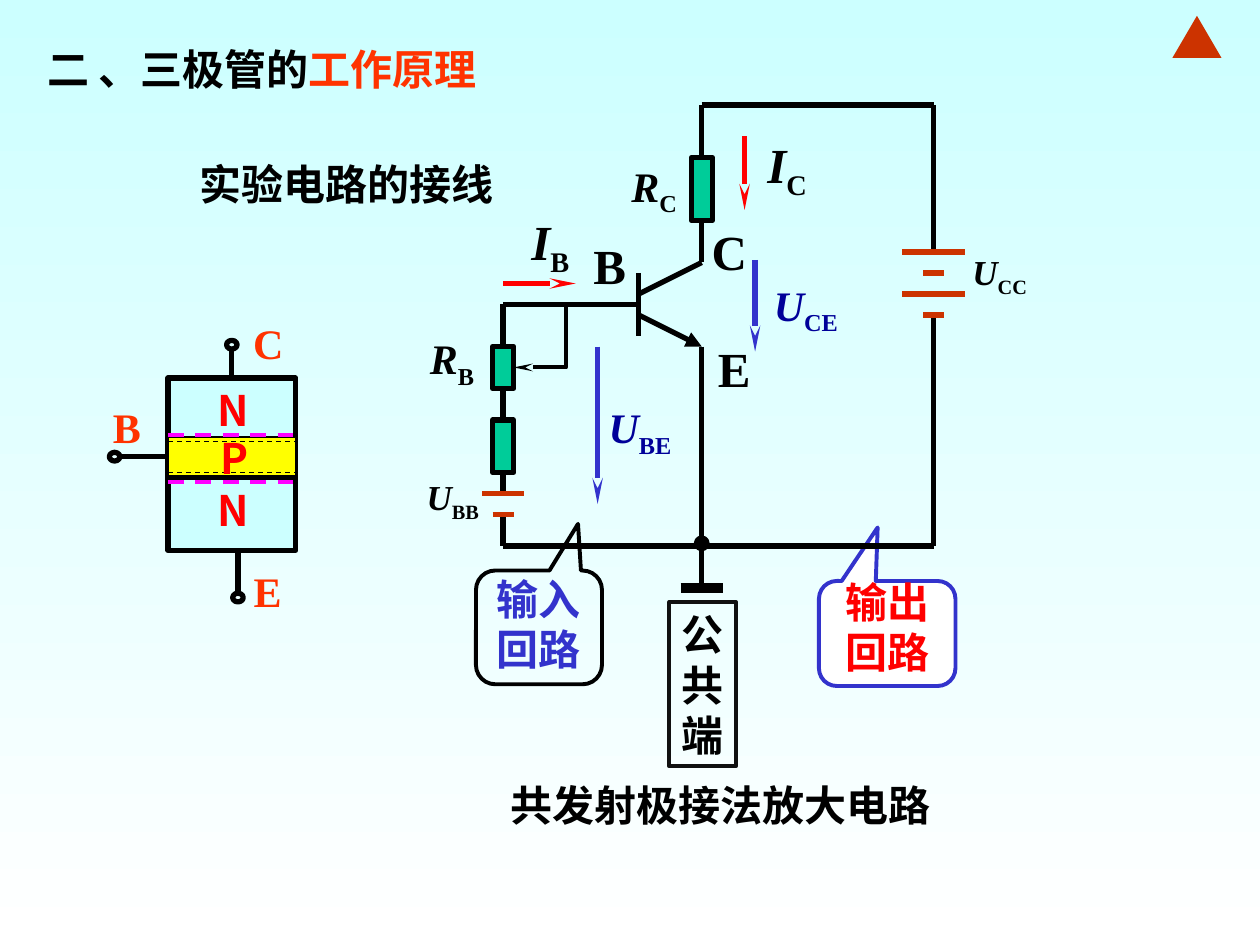
from dataclasses import dataclass
from typing import Optional

from lxml import etree
from pptx import Presentation
from pptx.dml.color import RGBColor
from pptx.enum.dml import MSO_LINE
from pptx.enum.shapes import MSO_CONNECTOR, MSO_SHAPE as Preset
from pptx.enum.text import MSO_ANCHOR, MSO_AUTO_SIZE, PP_ALIGN as Align
from pptx.oxml.ns import qn
from pptx.util import Pt

BLACK = RGBColor(0x00, 0x00, 0x00)
WHITE = RGBColor(0xFF, 0xFF, 0xFF)
FRAME = RGBColor(0x11, 0x11, 0x11)
PALE_CYAN = RGBColor(0xCC, 0xFF, 0xFF)
GREEN = RGBColor(0x00, 0xCC, 0x99)
YELLOW = RGBColor(0xFF, 0xFF, 0x00)
RED = RGBColor(0xFF, 0x00, 0x00)
ORANGE = RGBColor(0xFF, 0x33, 0x00)
BRICK = RGBColor(0xCC, 0x33, 0x00)
MAGENTA = RGBColor(0xFF, 0x00, 0xFF)
BLUE = RGBColor(0x33, 0x33, 0xCC)
NAVY = RGBColor(0x00, 0x00, 0x99)
SERIF, SANS = "Times New Roman", "Noto Sans CJK SC"


@dataclass
class Run:
    text: str
    color: RGBColor = BLACK
    size: float = 24
    italic: bool = False
    subscript: bool = False
    font: str = SERIF


@dataclass
class Label:
    left: float
    top: float
    width: float
    height: float
    lines: list[list[Run]]
    align: Align = Align.CENTER
    wrap: bool = False


@dataclass
class Block:
    left: float
    top: float
    width: float
    height: float
    fill: Optional[RGBColor] = None
    line: Optional[RGBColor] = BLACK
    weight: float = 3
    preset: Preset = Preset.RECTANGLE
    adjustments: tuple[float, ...] = ()


@dataclass
class Wire:
    x1: float
    y1: float
    x2: float
    y2: float
    color: RGBColor = BLACK
    weight: float = 3
    arrow: Optional[str] = None
    dashed: bool = False


def symbol(name: str, index: str, size: float, color: RGBColor = BLACK) -> list[list[Run]]:
    """One line: an italic letter with an upright subscript."""
    return [[Run(name, color, size, italic=True), Run(index, color, size, subscript=True)]]


def words(*lines: str, color: RGBColor = BLACK, size: float = 24, font: str = SERIF) -> list[list[Run]]:
    return [[Run(line, color, size, font=font)] for line in lines]


def write(shape, lines: list[list[Run]], align: Align, wrap: bool) -> None:
    frame = shape.text_frame
    frame.word_wrap = wrap
    frame.auto_size = MSO_AUTO_SIZE.SHAPE_TO_FIT_TEXT
    frame.vertical_anchor = MSO_ANCHOR.MIDDLE
    if align == Align.CENTER:
        frame.margin_left = frame.margin_right = Pt(3)
    for number, line in enumerate(lines):
        paragraph = frame.add_paragraph() if number else frame.paragraphs[0]
        paragraph.alignment = align
        for part in line:
            run = paragraph.add_run()
            run.text = part.text
            font = run.font
            font.name, font.size, font.bold, font.italic = part.font, Pt(part.size), True, part.italic
            font.color.rgb = part.color
            properties = run._r.get_or_add_rPr()
            etree.SubElement(properties, qn("a:ea")).set("typeface", SANS)
            if part.subscript:
                properties.set("baseline", "-25000")


def add_label(slide, label: Label) -> None:
    box = slide.shapes.add_textbox(Pt(label.left), Pt(label.top), Pt(label.width), Pt(label.height))
    write(box, label.lines, label.align, label.wrap)


def style(shape, fill: Optional[RGBColor], line: Optional[RGBColor], weight: float) -> None:
    shape.shadow.inherit = False
    if fill is None:
        shape.fill.background()
    else:
        shape.fill.solid()
        shape.fill.fore_color.rgb = fill
    if line is None:
        shape.line.fill.background()
    else:
        shape.line.color.rgb = line
        shape.line.width = Pt(weight)


def add_block(slide, block: Block, joints: dict):
    """Draw a shape; a rectangle also records the middles of its sides in joints."""
    x, y, w, h = block.left, block.top, block.width, block.height
    shape = slide.shapes.add_shape(block.preset, Pt(x), Pt(y), Pt(w), Pt(h))
    for number, value in enumerate(block.adjustments):
        shape.adjustments[number] = value
    style(shape, block.fill, block.line, block.weight)
    if block.preset == Preset.RECTANGLE:
        middles = (x + w / 2, y), (x, y + h / 2), (x + w / 2, y + h), (x + w, y + h / 2)
        joints.update({point: (shape, site) for site, point in enumerate(middles)})
    return shape


def add_arrowhead(shape, kind: str) -> None:
    """End the line in an arrowhead; the stealth ones are long and narrow."""
    outline = shape._element.spPr.find(qn("a:ln"))
    head = etree.SubElement(outline, qn("a:tailEnd"), type=kind)
    if kind == "stealth":
        head.set("w", "sm")
        head.set("len", "lg")


def add_wire(slide, wire: Wire, joints: dict) -> None:
    begin, end = (wire.x1, wire.y1), (wire.x2, wire.y2)
    connector = slide.shapes.add_connector(MSO_CONNECTOR.STRAIGHT, *map(Pt, begin + end))
    connector.line.color.rgb = wire.color
    connector.line.width = Pt(wire.weight)
    if wire.dashed:
        connector.line.dash_style = MSO_LINE.DASH
    if wire.arrow:
        add_arrowhead(connector, wire.arrow)
    etree.SubElement(connector._element.spPr, qn("a:effectLst"))
    if begin in joints:
        connector.begin_connect(*joints[begin])
    if end in joints:
        connector.end_connect(*joints[end])


def add_wiper(slide) -> None:
    """The sliding contact of the base resistor."""
    builder = slide.shapes.build_freeform(Pt(323.5), Pt(174), scale=1.0)
    builder.add_line_segments([(Pt(323.5), Pt(210)), (Pt(293.5), Pt(210))], close=False)
    wiper = builder.convert_to_shape()
    style(wiper, None, BLACK, 2.25)
    add_arrowhead(wiper, "stealth")


# Columns and rails of the circuit
INPUT, BASE, MAIN, SUPPLY = 287.5, 365, 401, 533.5
TOP, GROUND = 60, 312
# Left and right sides of the layered transistor
LEFT, RIGHT = 96, 169

CALLOUT = Preset.ROUNDED_RECTANGULAR_CALLOUT
BACK_BLOCKS = [
    Block(670, 9, 28, 24, BRICK, None, preset=Preset.ISOSCELES_TRIANGLE),
    Block(468, 332, 78, 60, WHITE, BLUE, 2.25, CALLOUT, (-0.07, -1.01, 0.17)),
    Block(272, 326, 72, 65, None, BLACK, 2.25, CALLOUT, (0.31, -0.91, 0.17)),
    Block(LEFT, 216, RIGHT - LEFT, 98.5, PALE_CYAN),
]
BOUNDARIES = [Wire(LEFT, y, RIGHT, y, color, 2.25, dashed=color == MAGENTA)
              for y, color in ((250.5, BLACK), (273, BLACK), (248.5, MAGENTA), (275.5, MAGENTA))]
FRONT_BLOCKS = [
    Block(LEFT, 250, RIGHT - LEFT, 22, YELLOW, weight=0.75),
    Block(MAIN - 6, 90, 12, 36, GREEN),
    Block(INPUT - 6, 198, 12, 24, GREEN),
    Block(INPUT - 6, 240, 12, 30, GREEN),
    Block(MAIN - 3, 307.5, 6, 6, BLACK, preset=Preset.OVAL),
] + [Block(x, y, 6, 5, preset=Preset.OVAL) for x, y in ((62.5, 258.5), (129.5, 194.5), (133, 339))]

WIRES = [
    # Transistor and output loop
    Wire(BASE, 156, BASE, 192),
    Wire(BASE, 168, MAIN, 150),
    Wire(BASE, 180, MAIN, 198, arrow="triangle"),
    Wire(MAIN, 126, MAIN, 150),
    Wire(MAIN, 90, MAIN, TOP),
    Wire(MAIN, 198, MAIN, GROUND),
    Wire(MAIN, TOP, SUPPLY, TOP),
    Wire(SUPPLY, TOP, SUPPLY, 144),
    Wire(SUPPLY, 180, SUPPLY, GROUND),
    # Input loop and ground
    Wire(BASE, 174, INPUT, 174),
    Wire(INPUT, 174, INPUT, 198),
    Wire(INPUT, 222, INPUT, 240),
    Wire(INPUT, 270, INPUT, 282),
    Wire(INPUT, 294, INPUT, GROUND),
    Wire(INPUT, GROUND, SUPPLY, GROUND),
    Wire(MAIN, GROUND, MAIN, 336),
    Wire(MAIN - 12, 336, MAIN + 12, 336, weight=6),
    # Currents and voltages
    Wire(425.5, 78, 425.5, 120, RED, arrow="stealth"),
    Wire(INPUT, 162, 329, 162, RED, arrow="stealth"),
    Wire(431.5, 148.5, 431.5, 201, BLUE, arrow="stealth"),
    Wire(341.5, 198, 341.5, 288, BLUE, arrow="stealth"),
    # Leads of the layered transistor
    Wire(132.5, 216, 132.5, 199.5),
    Wire(136, 314.5, 136, 339),
    Wire(LEFT, 261, 68.5, 261),
]
# Battery plates: column, height, half length
WIRES += [Wire(x - half, y, x + half, y, BRICK) for x, y, half in (
    (SUPPLY, 144, 18), (SUPPLY, 156, 6), (SUPPLY, 168, 18), (SUPPLY, 180, 6),
    (INPUT, 282, 12), (INPUT, 294, 6))]
WIRES += [Wire(LEFT, y, RIGHT, y, weight=0.75, dashed=True) for y in (252.5, 270)]

LABELS = [
    Label(20, 21.5, 345, 36, [[Run("二 、三极管的"), Run("工作原理", ORANGE)]], Align.LEFT, True),
    Label(80.5, 87, 235, 36, words("实验电路的接线"), wrap=True),
    Label(284.5, 442, 254, 36, words("共发射极接法放大电路")),
    Label(471.5, 325.5, 71.5, 65, words("输出", "回路", color=RED), wrap=True),
    Label(276.5, 324, 62, 65, words("输入", "回路", color=BLUE)),
    Label(548.5, 139.5, 45.5, 34.5, symbol("U", "CC", 20)),
    Label(353.5, 88, 40.5, 40, symbol("R", "C", 24)),
    Label(431.5, 73.5, 36.5, 45, symbol("I", "C", 28)),
    Label(420.5, 156, 80, 40, symbol("U", "CE", 24, NAVY)),
    Label(340.5, 226, 50.5, 40, symbol("U", "BE", 24, NAVY)),
    Label(232.5, 268, 52.5, 34.5, symbol("U", "BB", 20)),
    Label(238.5, 186.5, 39.5, 40, symbol("R", "B", 24)),
    Label(296.5, 117.5, 36, 45, symbol("I", "B", 28)),
    Label(389.5, 123, 54.5, 41, words("C", size=28)),
    Label(403, 189.5, 33, 41, words("E", size=28)),
    Label(332, 131, 33, 41, words("B", size=28)),
    Label(137.5, 178, 31.5, 36, words("C", color=ORANGE)),
    Label(57.5, 226, 30, 36, words("B", color=ORANGE)),
    Label(138, 319.5, 30, 36, words("E", color=ORANGE)),
    Label(116.5, 216, 34, 36, words("N", color=RED, font=SANS)),
    Label(116.5, 273, 34, 36, words("N", color=RED, font=SANS)),
    Label(119.5, 243.5, 29.5, 36, words("P", color=RED, font=SANS)),
]


def main() -> None:
    presentation = Presentation()
    presentation.slide_width, presentation.slide_height = Pt(720), Pt(540)
    slide = presentation.slides.add_slide(presentation.slide_layouts[6])
    background = slide.background.fill
    background.gradient()
    background.gradient_angle = 270
    for stop, color in zip(background.gradient_stops, (PALE_CYAN, WHITE)):
        stop.color.rgb = color

    joints: dict = {}
    for blocks, wires in ((BACK_BLOCKS, BOUNDARIES), (FRONT_BLOCKS, WIRES)):
        for block in blocks:
            add_block(slide, block, joints)
        for wire in wires:
            add_wire(slide, wire, joints)
    add_wiper(slide)
    common = add_block(slide, Block(382.5, 344, 38, 94, None, FRAME, 2.25), joints)
    write(common, words("公", "共", "端"), Align.CENTER, False)
    for label in LABELS:
        add_label(slide, label)
    presentation.save("out.pptx")


if __name__ == "__main__":
    main()
